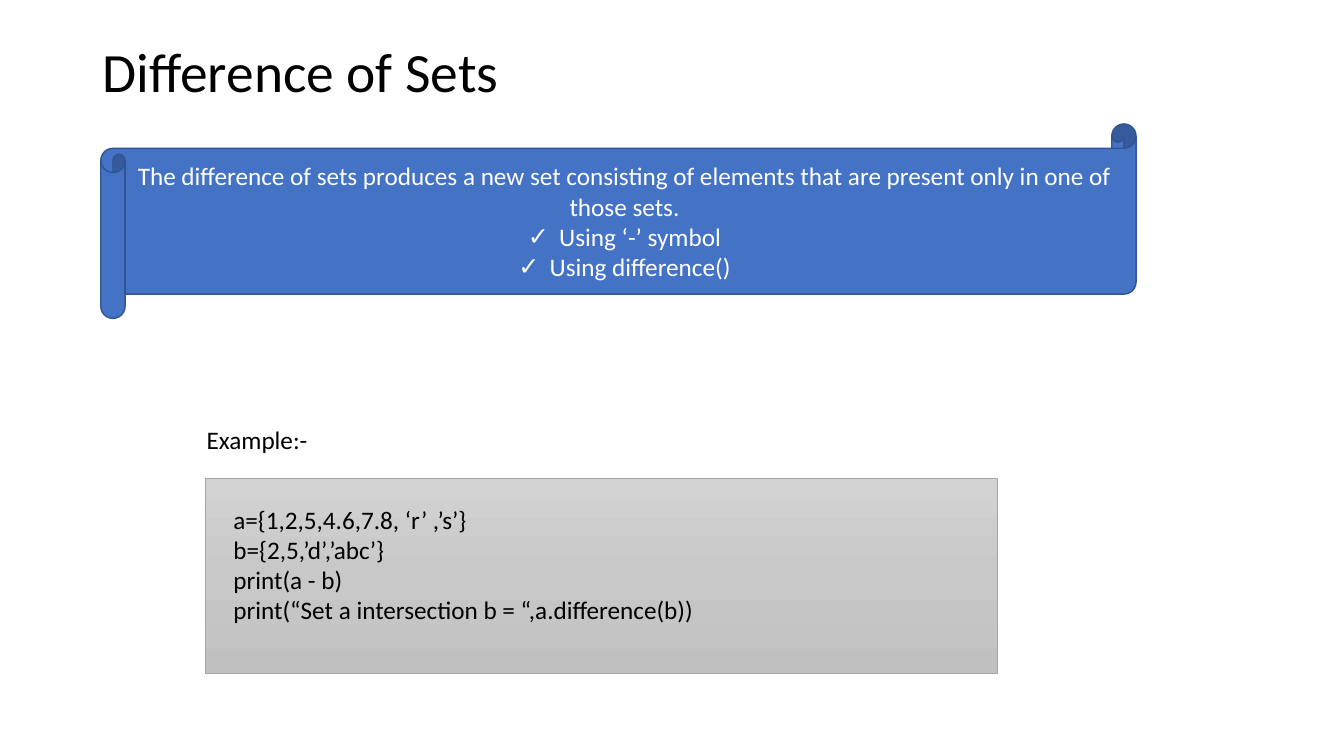
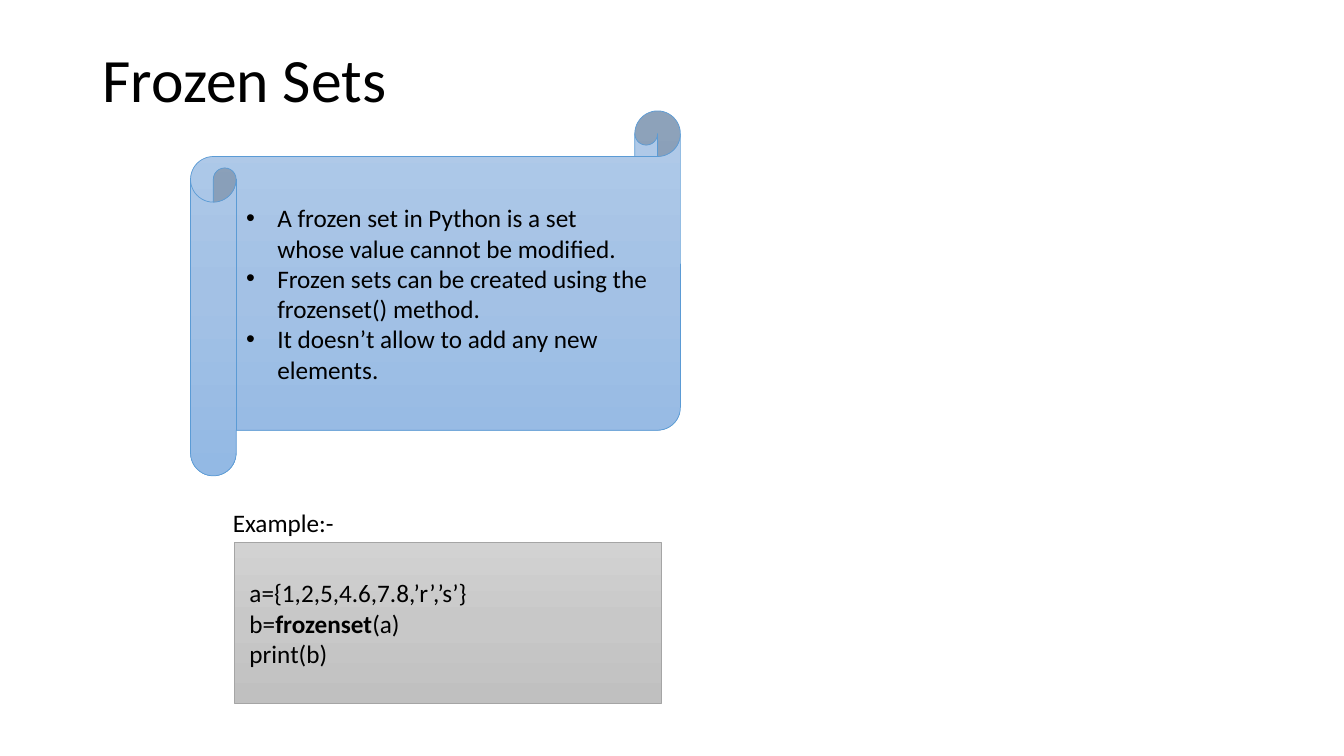
from copy import deepcopy
from dataclasses import dataclass

from lxml.etree import SubElement
from pptx import Presentation
from pptx.dml.color import RGBColor
from pptx.enum.shapes import MSO_SHAPE
from pptx.enum.text import MSO_ANCHOR, PP_ALIGN
from pptx.oxml.ns import qn
from pptx.util import Inches, Pt

WIDE, HIGH = Inches(13.333), Inches(7.5)
FONT = "Calibri"
INDENT = Inches(0.31)
COLORS = {
    "ink": "000000", "white": "FFFFFF",
    "blue": "4472C4", "navy": "325491", "sky": "5B9BD5",
    "sky1": "B1CBE9", "sky2": "A3C1E5", "sky3": "93B9E4",
    "gray": "A5A5A5",
    "gray1": "D2D2D2", "gray2": "C8C8C8", "gray3": "C0C0C0",
}


@dataclass(frozen=True)
class Box:
    """Left, top, width and height as percent of the slide."""
    left: float
    top: float
    width: float
    height: float

    def size(self) -> tuple[int, ...]:
        return tuple(round(share * side / 100) for share, side in (
            (self.left, WIDE), (self.top, HIGH),
            (self.width, WIDE), (self.height, HIGH)))


@dataclass(frozen=True)
class Line:
    """Runs of one paragraph; every second run is bold."""
    runs: tuple[str, ...]
    bullet: str = ""


@dataclass(frozen=True)
class Look:
    fills: tuple[str, ...]
    edge: str
    weight: float
    ink: str = "ink"
    align: PP_ALIGN = PP_ALIGN.LEFT


@dataclass(frozen=True)
class Panel:
    kind: MSO_SHAPE
    box: Box
    look: Look
    lines: tuple[Line, ...] = ()


@dataclass(frozen=True)
class Note:
    box: Box
    lines: tuple[Line, ...]
    size: float = 18
    wrap: bool = True
    anchor: MSO_ANCHOR = MSO_ANCHOR.TOP
    space: float = 1.0


BLUE = Look(("blue",), "navy", 1, "white", PP_ALIGN.CENTER)
SKY = Look(("sky1", "sky2", "sky3"), "sky", 0.5)
GRAY = Look(("gray1", "gray2", "gray3"), "gray", 0.5)


def lines(*texts: str, bullet: str = "") -> tuple[Line, ...]:
    return tuple(Line((text,), bullet) for text in texts)


def title(text: str, width: float, height: float, size: float) -> Note:
    return Note(Box(6.9, 5.33, width, height), lines(text), size,
                anchor=MSO_ANCHOR.MIDDLE, space=0.9)


def label(left: float, top: float) -> Note:
    return Note(Box(left, top, 9.08, 5.33), lines("Example:-"), wrap=False)


SLIDES = (
    (
        title("Difference of Sets", 86.25, 9.07, 39.6),
        Panel(MSO_SHAPE.HORIZONTAL_SCROLL, Box(7.5, 16.4, 77.03, 25.73), BLUE,
              lines("The difference of sets produces a new set consisting of "
                    "elements that are present only in one of those sets.")
              + lines("Using ‘-’ symbol", "Using difference()", bullet="✓")),
        label(14.63, 55.47),
        Panel(MSO_SHAPE.RECTANGLE, Box(15.3, 63.33, 58.95, 25.73), GRAY),
        Note(Box(16.2, 66, 50.03, 17.47), lines(
            " a={1,2,5,4.6,7.8, ‘r’ ,’s’}",
            " b={2,5,’d’,’abc’}",
            " print(a - b)",
            " print(“Set a intersection b = “,a.difference(b))")),
    ),
    (
        title("Frozen Sets", 27, 11.2, 44),
        Panel(MSO_SHAPE.HORIZONTAL_SCROLL, Box(14.18, 14.67, 36.45, 48.27),
              SKY, lines(
                  "A frozen set in Python is a set whose value cannot be "
                  "modified.",
                  "Frozen sets can be created using the frozenset() method.",
                  "It doesn’t allow to add any new elements.", bullet="•")),
        label(16.58, 66.4),
        Panel(MSO_SHAPE.RECTANGLE, Box(17.4, 71.73, 31.8, 21.33), GRAY,
              lines(" a={1,2,5,4.6,7.8,’r’,’s’}")
              + (Line((" b=", "frozenset", "(a)")),)
              + lines(" print(b)")),
    ),
)


def tint(name: str) -> RGBColor:
    return RGBColor.from_string(COLORS[name])


def style(target: object, values: dict) -> None:
    for name, value in values.items():
        setattr(target, name, value)


def mark(para, sign: str) -> None:
    props = para._p.get_or_add_pPr()
    props.set("marL", str(INDENT))
    props.set("indent", str(-INDENT))
    SubElement(props, qn("a:buFont")).set("typeface", "Arial")
    SubElement(props, qn("a:buChar")).set("char", sign)


def write(frame, rows: tuple[Line, ...], size: float, ink: str,
          form: dict) -> None:
    for place, row in enumerate(rows):
        para = frame.add_paragraph() if place else frame.paragraphs[0]
        style(para, form)
        if row.bullet:
            mark(para, row.bullet)
        for turn, text in enumerate(row.runs):
            run = para.add_run()
            run.text = text
            style(run.font, {"name": FONT, "size": Pt(size),
                             "bold": turn % 2 == 1})
            run.font.color.rgb = tint(ink)


def paint(shape, names: tuple[str, ...]) -> None:
    if len(names) == 1:
        shape.fill.solid()
        shape.fill.fore_color.rgb = tint(names[0])
        return
    shape.fill.gradient()
    shape.fill.gradient_angle = 270
    stops = shape._element.spPr.find(qn("a:gradFill")).find(qn("a:gsLst"))
    while len(stops) < len(names):
        stops.append(deepcopy(stops[-1]))
    for place, (stop, name) in enumerate(
            zip(shape.fill.gradient_stops, names)):
        stop.position = place / (len(names) - 1)
        stop.color.rgb = tint(name)


def draw_panel(slide, panel: Panel) -> None:
    look = panel.look
    shape = slide.shapes.add_shape(panel.kind, *panel.box.size())
    shape.shadow.inherit = False
    paint(shape, look.fills)
    shape.line.color.rgb = tint(look.edge)
    shape.line.width = Pt(look.weight)
    style(shape.text_frame, {"word_wrap": True,
                             "vertical_anchor": MSO_ANCHOR.MIDDLE})
    write(shape.text_frame, panel.lines, 18, look.ink,
          {"alignment": look.align})


def draw_note(slide, note: Note) -> None:
    frame = slide.shapes.add_textbox(*note.box.size()).text_frame
    style(frame, {"word_wrap": note.wrap, "vertical_anchor": note.anchor})
    write(frame, note.lines, note.size, "ink",
          {"alignment": PP_ALIGN.LEFT, "line_spacing": note.space})


def main() -> None:
    deck = Presentation()
    style(deck, {"slide_width": WIDE, "slide_height": HIGH})
    for items in SLIDES:
        slide = deck.slides.add_slide(deck.slide_layouts[6])
        for item in items:
            if isinstance(item, Panel):
                draw_panel(slide, item)
            else:
                draw_note(slide, item)
    deck.save("out.pptx")


if __name__ == "__main__":
    main()
